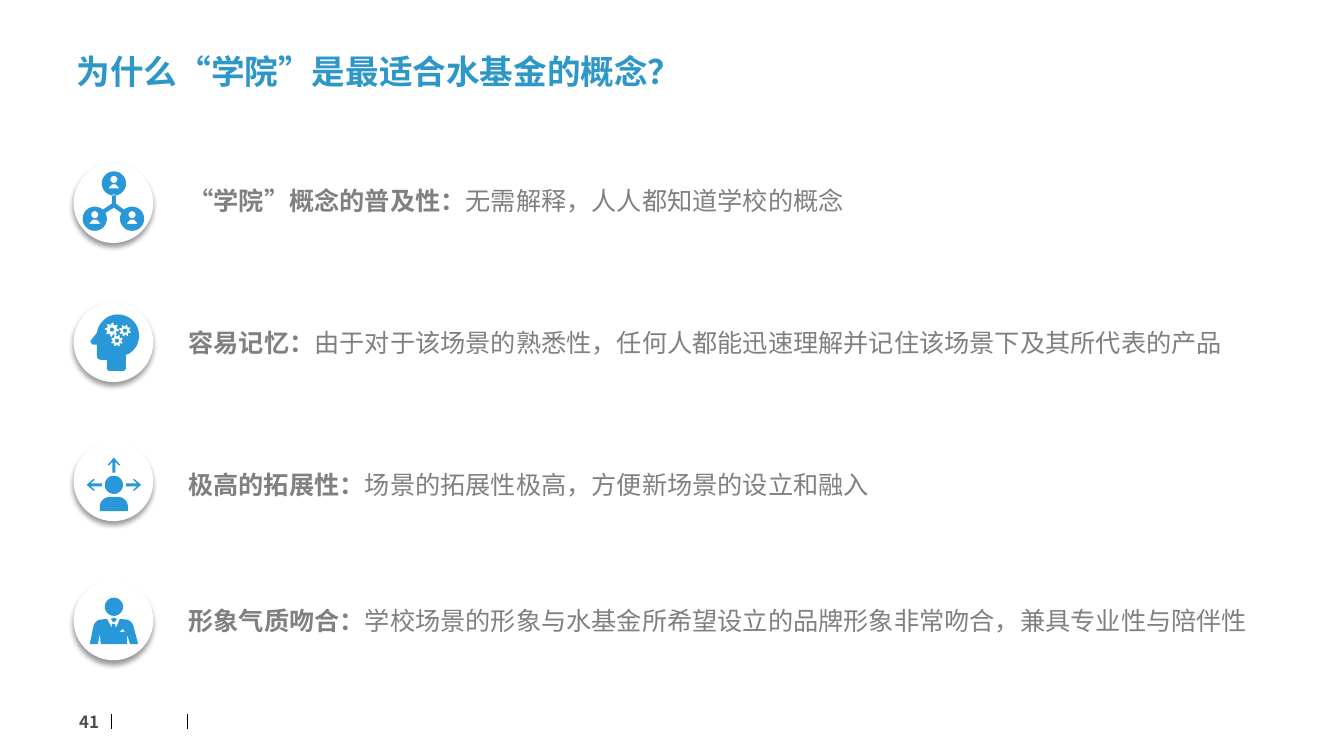
from itertools import chain
from math import cos, radians, sin

from lxml import etree
from pptx import Presentation
from pptx import util as u
from pptx.dml.color import RGBColor
from pptx.enum import lang, shapes, text
from pptx.oxml import parse_xml
from pptx.oxml.ns import nsdecls, qn

CJK_FONT = "Noto Sans CJK SC"
THEME = {
    "icon": RGBColor.from_string("2898D8"),
    "badge": RGBColor.from_string("FFFFFF"),
    "rule": RGBColor.from_string("000000"),
    "title": {"name": CJK_FONT, "size": u.Pt(24), "bold": True, "color": "2D97C8"},
    "heading": {"name": "Arial", "size": u.Pt(18), "bold": True, "color": "808080"},
    "detail": {"name": "Arial", "size": u.Pt(18), "bold": False, "color": "808080"},
    "number": {"name": CJK_FONT, "size": u.Pt(12), "bold": True, "color": "4D4D4D"},
}


def add_run(paragraph, content, style):
    run = paragraph.add_run()
    run.text = content
    run.font.language_id = lang.MSO_LANGUAGE_ID.SIMPLIFIED_CHINESE
    for name, value in THEME[style].items():
        if name == "color":
            run.font.color.rgb = RGBColor.from_string(value)
        else:
            setattr(run.font, name, value)
    latin = run.font._element.find(qn("a:latin"))
    east_asian = etree.Element(qn("a:ea"), typeface=CJK_FONT)
    latin.addnext(east_asian)


def arc(x, y, radii, start=0, sweep=360):
    step = radians(sweep) / len(radii)
    return [
        (x + radius * cos(radians(start) + i * step), y + radius * sin(radians(start) + i * step))
        for i, radius in enumerate(radii)
    ]


network_icon = [[
    (-0.02, -0.09), (0.02, -0.09), (0.02, 0), (0.1, 0.06), (0.07, 0.09),
    (0, 0.04), (-0.08, 0.09), (-0.11, 0.06), (-0.02, 0),
]]
for x, y in [(0, -0.2), (-0.19, 0.15), (0.18, 0.15)]:
    network_icon += [
        arc(x, y, [0.12] * 36),
        arc(x, y - 0.04, [0.035] * 24),
        [(x - 0.05, y + 0.05), (x - 0.05, y + 0.04), (x - 0.02, y + 0.01),
         (x + 0.02, y + 0.01), (x + 0.05, y + 0.04), (x + 0.05, y + 0.05)],
    ]

mind_icon = [arc(0.04, -0.07, [0.21] * 40, 188, 239) + [
    (0.12, 0.12), (0.12, 0.26), (0.1, 0.28), (-0.05, 0.28), (-0.07, 0.26), (-0.07, 0.17),
    (-0.13, 0.17), (-0.16, 0.16), (-0.17, 0.13), (-0.17, 0.02), (-0.21, 0.02),
    (-0.23, 0), (-0.23, -0.02),
]]
for x, y, size, turn in [(-0.02, -0.13, 0.07, 0), (0.11, -0.12, 0.06, 12), (0.03, -0.02, 0.06, 18)]:
    teeth = [size, size, size * 0.72, size * 0.72] * 8
    mind_icon += [arc(x, y, teeth, turn), arc(x, y, [0.02] * 20)]

reach_icon = [
    arc(0, 0.03, [0.09] * 36),
    [(-0.14, 0.29)] + arc(-0.04, 0.25, [0.1] * 10, 180, 100)
    + arc(0.04, 0.25, [0.1] * 10, 270, 100) + [(0.14, 0.29)],
]
arrow_half = [(0.27, 0), (0.2, 0.06), (0.19, 0.05), (0.23, 0.015), (0.12, 0.015)]
arrow = arrow_half + [(along, -across) for along, across in reversed(arrow_half[1:])]
for right, down in [(1, 0), (0, -1), (-1, 0)]:
    reach_icon.append([
        (along * right - across * down, 0.03 + along * down + across * right)
        for along, across in arrow
    ])

suit_icon = [
    arc(0, -0.14, [0.09] * 36),
    [(-0.03, -0.02), (0, -0.03), (0.03, -0.02), (0.01, 0.01), (-0.01, 0.01)],
    [(0.24, 0.23), (0.16, 0.23), (0.13, 0.13), (0.13, 0.23), (-0.13, 0.23), (-0.14, 0.13),
     (-0.16, 0.23), (-0.24, 0.23), (-0.2, 0.04), (-0.18, 0.01), (-0.15, -0.01),
     (-0.07, -0.02), (-0.02, 0.07), (-0.02, 0.03), (0.01, 0.03), (0.02, 0.07),
     (0.06, -0.02), (0.14, -0.01), (0.17, 0.01), (0.19, 0.04)],
    [(0.11, 0.11), (0.09, 0.08), (0.05, 0.11)],
]

reasons = [
    (network_icon, 1.79, 7.69, "“学院”概念的普及性：", "无需解释，人人都知道学校的概念"),
    (mind_icon, 3.2, 10.62, "容易记忆：", "由于对于该场景的熟悉性，任何人都能迅速理解并记住该场景下及其所代表的产品"),
    (reach_icon, 4.61, 7.9, "极高的拓展性：", "场景的拓展性极高，方便新场景的设立和融入"),
    (suit_icon, 5.96, 10.88, "形象气质吻合：", "学校场景的形象与水基金所希望设立的品牌形象非常吻合，兼具专业性与陪伴性"),
]

presentation = Presentation()
presentation.slide_width = u.Inches(13.33)
presentation.slide_height = u.Inches(7.5)
slide = presentation.slides.add_slide(presentation.slide_layouts[5])

for x in (1.1, 1.86):
    rule = slide.shapes.add_connector(
        shapes.MSO_CONNECTOR.STRAIGHT, u.Inches(x), u.Inches(7.08), u.Inches(x), u.Inches(7.23))
    rule.line.color.rgb = THEME["rule"]
    rule.line.width = u.Pt(0.5)
    etree.SubElement(rule._element.spPr, qn("a:effectLst"))

title = slide.shapes.title
title.left, title.top, title.width, title.height = map(u.Inches, (0.66, 0.48, 7.27, 0.5))
title_format = {
    "word_wrap": True,
    "auto_size": text.MSO_AUTO_SIZE.NONE,
    "vertical_anchor": text.MSO_ANCHOR.MIDDLE,
}
for name, value in title_format.items():
    setattr(title.text_frame, name, value)
paragraph = title.text_frame.paragraphs[0]
paragraph.alignment = text.PP_ALIGN.LEFT
paragraph.line_spacing = 0.9
add_run(paragraph, "为什么“学院”是最适合水基金的概念？", "title")

number = slide.shapes.add_textbox(u.Inches(0.54), u.Inches(6.96), u.Inches(0.54), u.Inches(0.4))
number.text_frame.word_wrap = True
number.text_frame.vertical_anchor = text.MSO_ANCHOR.MIDDLE
paragraph = number.text_frame.paragraphs[0]
paragraph.alignment = text.PP_ALIGN.RIGHT
add_run(paragraph, "41", "number")

BADGE_LEFT, BADGE_TOP, BADGE_SIZE, BADGE_STEP = 0.73, 1.62, 0.79, 1.38
for i, (icon, text_top, text_width, heading, detail) in enumerate(reasons):
    top = BADGE_TOP + i * BADGE_STEP
    group = slide.shapes.add_group_shape()
    badge = group.shapes.add_shape(
        shapes.MSO_SHAPE.OVAL, u.Inches(BADGE_LEFT), u.Inches(top),
        u.Inches(BADGE_SIZE), u.Inches(BADGE_SIZE))
    badge.fill.solid()
    badge.fill.fore_color.rgb = THEME["badge"]
    badge.line.fill.background()
    badge._element.spPr.append(parse_xml(
        f'<a:effectLst {nsdecls("a")}><a:outerShdw blurRad="{u.Pt(4)}" dist="{u.Pt(3)}" '
        'dir="5400000" algn="t" rotWithShape="0"><a:srgbClr val="000000">'
        '<a:alpha val="40000"/></a:srgbClr></a:outerShdw></a:effectLst>'))

    contours = [[(x * 1000, y * 1000) for x, y in contour] for contour in icon]
    builder = group.shapes.build_freeform(*contours[0][0], scale=u.Inches(1) / 1000)
    builder.add_line_segments(contours[0][1:], close=True)
    for contour in contours[1:]:
        builder.move_to(*contour[0])
        builder.add_line_segments(contour[1:], close=True)
    symbol = builder.convert_to_shape(u.Inches(BADGE_LEFT + 0.4), u.Inches(top + 0.4))
    symbol.shadow.inherit = False
    symbol.fill.solid()
    symbol.fill.fore_color.rgb = THEME["icon"]
    symbol.line.fill.background()

    box = slide.shapes.add_textbox(
        u.Inches(1.77), u.Inches(text_top), u.Inches(text_width), u.Inches(0.4))
    box.text_frame.word_wrap = True
    box.text_frame.auto_size = text.MSO_AUTO_SIZE.SHAPE_TO_FIT_TEXT
    paragraph = box.text_frame.paragraphs[0]
    add_run(paragraph, heading, "heading")
    add_run(paragraph, detail, "detail")

presentation.save("out.pptx")
